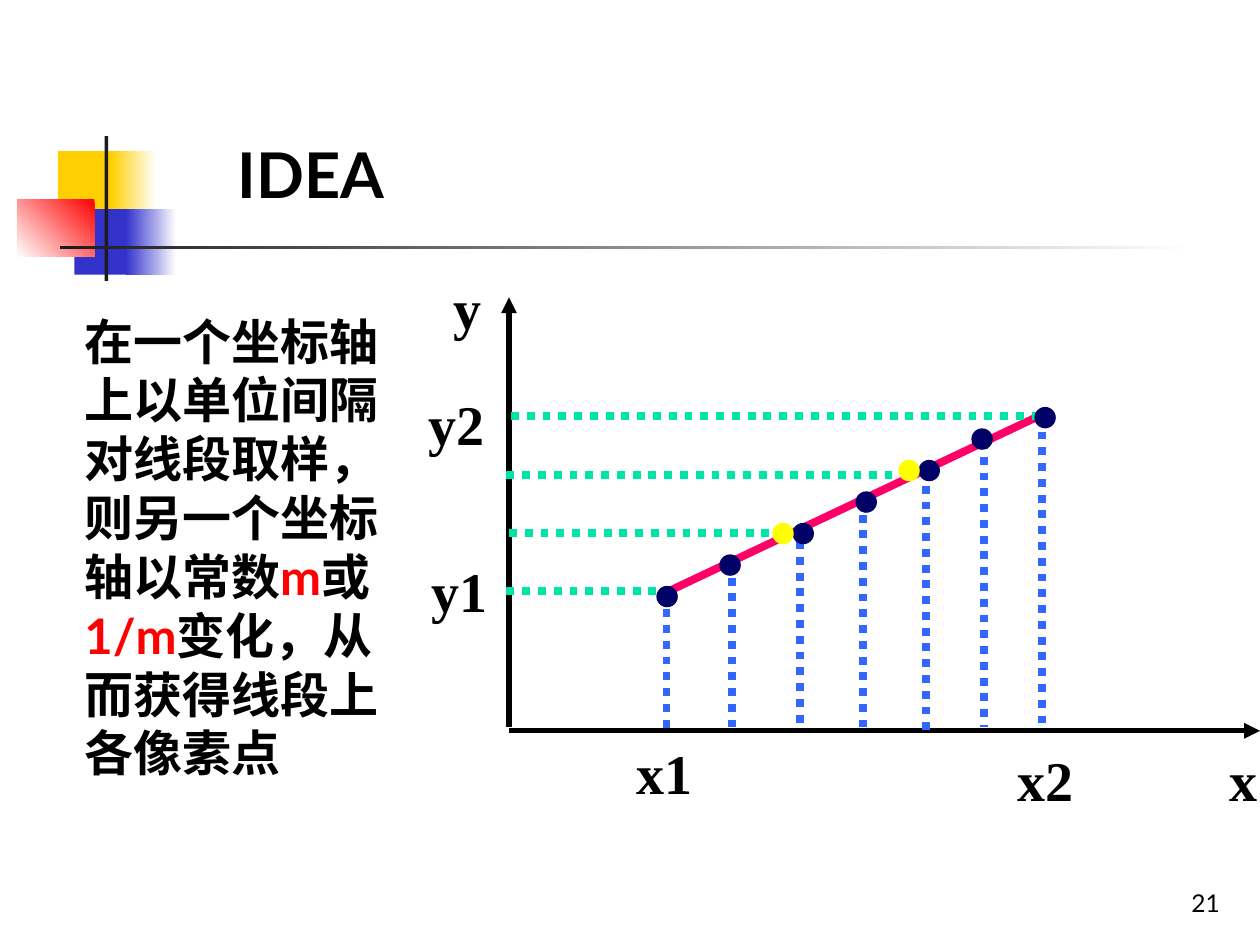
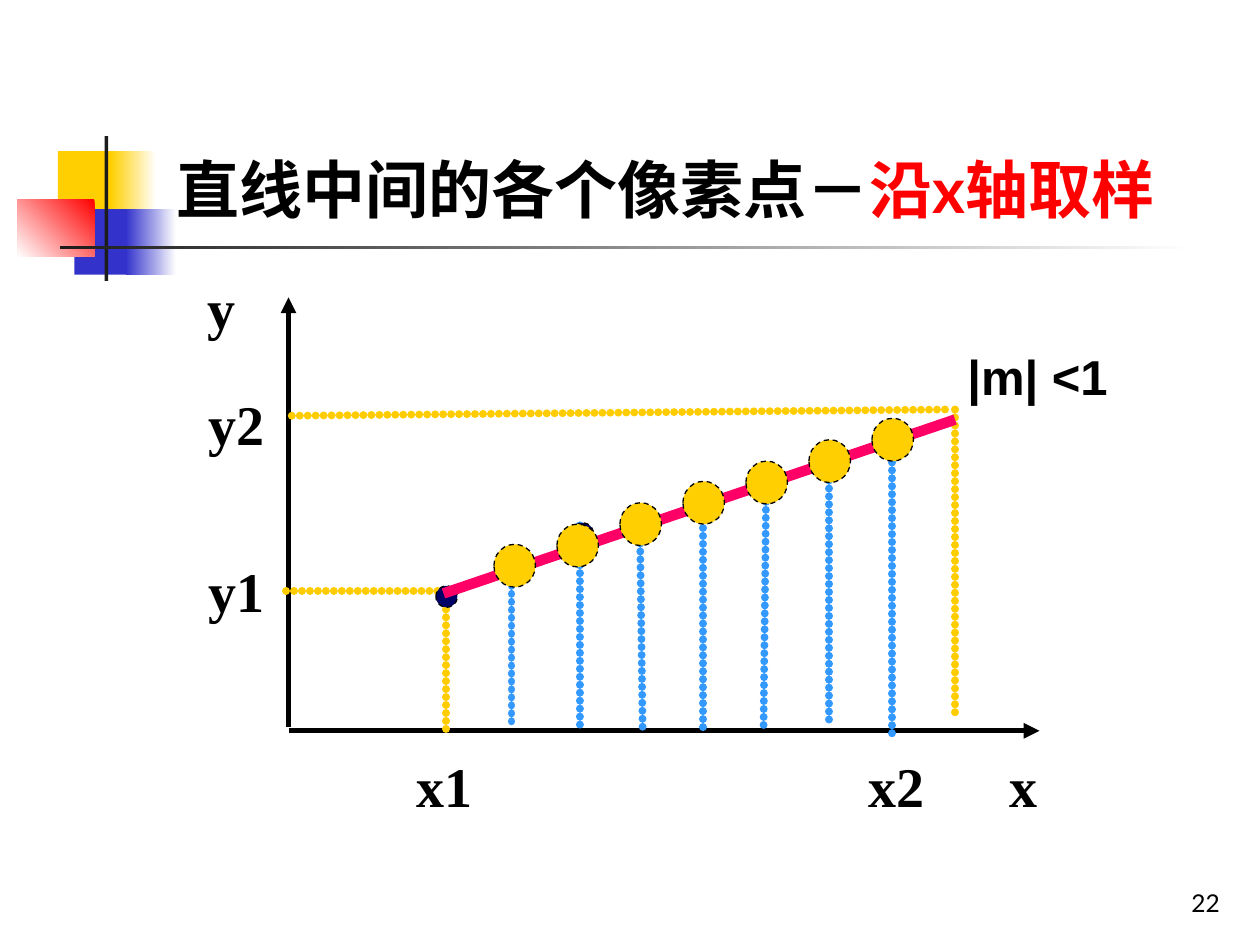
from dataclasses import dataclass

from lxml.etree import SubElement
from pptx import Presentation
from pptx.dml.color import RGBColor
from pptx.enum.dml import MSO_LINE
from pptx.enum.shapes import MSO_CONNECTOR, MSO_SHAPE
from pptx.enum.text import MSO_ANCHOR, PP_ALIGN
from pptx.oxml.ns import qn
from pptx.util import Emu, Pt

PX = 9144  # one px is a hundredth of an inch


@dataclass(frozen=True)
class Theme:
    white: str = "FFFFFF"
    black: str = "000000"
    ink: str = "1C1C1C"
    gold: str = "FFCF01"
    blue: str = "3333CC"
    red: str = "FF0000"
    pink: str = "FF0066"
    navy: str = "000066"
    lemon: str = "FFFF00"
    mint: str = "00E4A8"
    stem: str = "3366FF"
    sky: str = "3399FF"
    amber: str = "FFCC00"
    sans: str = "Lato"
    serif: str = "Times New Roman"
    plain: str = "Arial"
    title: int = 36
    label: int = 32
    body: int = 28
    foot: int = 14


T = Theme()


def rgb(tone):
    return RGBColor.from_string(tone)


class Deck:
    def __init__(self, theme):
        self.theme = theme
        self.prs = Presentation()
        self.prs.slide_width = Emu(1000 * PX)
        self.prs.slide_height = Emu(750 * PX)
        self.slide = None

    def page(self, number):
        """Start a slide with the shared corner motif and page number."""
        t = self.theme
        self.slide = self.prs.slides.add_slide(self.prs.slide_layouts[6])
        self.box(46, 120, 48, 52, t.gold)
        self.box(88, 120, 36, 52, (t.white, t.gold), 180)
        self.box(59, 166, 46, 52, t.blue)
        self.box(100, 166, 40, 52, (t.white, t.blue), 180)
        self.box(14, 158, 61, 46, (t.red, t.white), 225)
        self.box(83, 108, 3, 115, t.ink)
        self.box(48, 195, 900, 3, (t.white, t.ink), 180)
        self.text(770, 683, 208, 50, [(str(number), t.black)], t.foot,
                  bold=False, align=PP_ALIGN.RIGHT, anchor=MSO_ANCHOR.BOTTOM)

    def shape(self, kind, x, y, w, h):
        item = self.slide.shapes.add_shape(
            kind, *(Emu(n * PX) for n in (x, y, w, h)))
        item.shadow.inherit = False
        item.line.fill.background()
        return item

    def box(self, x, y, w, h, tone, angle=0):
        """A rectangle, plain or with a gradient when tone is a pair."""
        fill = self.shape(MSO_SHAPE.RECTANGLE, x, y, w, h).fill
        if isinstance(tone, str):
            fill.solid()
            fill.fore_color.rgb = rgb(tone)
            return
        fill.gradient()
        fill.gradient_angle = angle
        for stop, part, place in zip(fill.gradient_stops, tone, (0, 1)):
            stop.color.rgb = rgb(part)
            stop.position = place

    def dot(self, x, y, w, h, tone, edge=False):
        item = self.shape(MSO_SHAPE.OVAL, x, y, w, h)
        item.fill.solid()
        item.fill.fore_color.rgb = rgb(tone)
        if edge:
            item.line.color.rgb = rgb(self.theme.black)
            item.line.width = Pt(0.75)
            item.line.dash_style = MSO_LINE.DASH

    def line(self, start, end, tone, width=4.5, style=None):
        """A line; style is None, "square", "round" or "arrow"."""
        item = self.slide.shapes.add_connector(
            MSO_CONNECTOR.STRAIGHT, *(Emu(n * PX) for n in (*start, *end)))
        item.line.color.rgb = rgb(tone)
        item.line.width = Pt(width)
        ln = item.line._get_or_add_ln()
        if style == "square":
            item.line.dash_style = MSO_LINE.ROUND_DOT
        elif style == "round":
            ln.set("cap", "rnd")
            dash = SubElement(ln, qn("a:custDash"))
            SubElement(dash, qn("a:ds"), d="1000", sp="100000")
        elif style == "arrow":
            SubElement(ln, qn("a:tailEnd"), type="triangle")
        SubElement(item._element.spPr, qn("a:effectLst"))

    def text(self, x, y, w, h, runs, size, font=None, bold=True, wrap=True,
             align=PP_ALIGN.LEFT, anchor=MSO_ANCHOR.TOP, pad=(10, 5)):
        item = self.slide.shapes.add_textbox(
            *(Emu(n * PX) for n in (x, y, w, h)))
        frame = item.text_frame
        frame.word_wrap = wrap
        frame.vertical_anchor = anchor
        frame.margin_left = frame.margin_right = Emu(pad[0] * PX)
        frame.margin_top = frame.margin_bottom = Emu(pad[1] * PX)
        para = frame.paragraphs[0]
        para.alignment = align
        for words, tone in runs:
            run = para.add_run()
            run.text = words
            run.font.name = font or self.theme.sans
            run.font.size = Pt(size)
            run.font.bold = bold
            run.font.color.rgb = rgb(tone)

    def label(self, x, y, words):
        """A centred axis label, as wide as its letters."""
        t = self.theme
        self.text(x, y, 45 if len(words) > 1 else 22, 53, [(words, t.black)],
                  t.label, t.serif, wrap=False, align=PP_ALIGN.CENTER,
                  anchor=MSO_ANCHOR.MIDDLE, pad=(0, 0))

    def axes(self, x):
        t = self.theme
        self.line((x, 577), (x, 236), t.black, 3, "arrow")
        self.line((x, 580), (x + 596, 580), t.black, 3, "arrow")


def idea(deck):
    deck.page(21)
    deck.axes(404)
    deck.line((527, 471), (825, 330), T.pink)

    # Samples along x, then their levels along y
    for x, top, foot in ((529, 471, 580), (827, 330, 575), (581, 446, 577),
                         (635, 417, 577), (685, 396, 577), (735, 373, 580),
                         (781, 350, 577)):
        deck.line((x, top), (x, foot), T.stem, style="square")
    for start, end, y in ((402, 527, 469), (825, 402, 330),
                          (402, 708, 377), (404, 635, 423)):
        deck.line((start, y), (end, y), T.mint, style="square")

    for x, y, words in ((505, 586, "x1"), (807, 592, "x2"), (342, 442, "y1"),
                        (340, 309, "y2"), (976, 592, "x"), (360, 217, "y")):
        deck.label(x, y, words)

    # Points on the segment
    for i, x in enumerate((521, 571, 629, 679, 729, 771)):
        deck.dot(x, 465 - 25 * i, 17, 17, T.navy)
    deck.dot(821, 323, 17, 17, T.navy)
    for x, y in ((613, 415), (713, 365)):
        deck.dot(x, y, 17, 17, T.lemon)

    # Title and explanation
    deck.text(179, 103, 139, 70, [("IDEA", T.black)], T.title, wrap=False)
    deck.text(67, 242, 258, 417, [
        ("在一个坐标轴上以单位间隔对线段取样，则另一个坐标轴以常数", T.black),
        ("m", T.red), ("或", T.black), ("1/m", T.red),
        ("变化，从而获得线段上各像素点", T.black)], T.body, pad=(0, 5))


def sample(deck):
    deck.page(22)
    deck.text(130, 107, 936, 77, [("直线中间的各个像素点－", T.black),
                                  ("沿x轴取样", T.red)],
              T.title, anchor=MSO_ANCHOR.BOTTOM)
    deck.axes(229)

    # Guides of the two end points
    for start, end in (((354, 471), (354, 580)), ((758, 325), (758, 571)),
                       ((227, 469), (352, 469)), ((750, 325), (227, 330))):
        deck.line(start, end, T.amber, style="round")

    # Sample stems
    for x, top, base, foot in ((406, 446, 406, 577), (460, 417, 460, 577),
                               (508, 425, 510, 577), (558, 400, 558, 580),
                               (608, 392, 606, 577), (658, 375, 658, 575),
                               (708, 348, 708, 583)):
        deck.line((x, top), (base, foot), T.sky, style="round")

    for x, y, words in ((330, 597, "x1"), (689, 597, "x2"), (165, 442, "y1"),
                        (165, 309, "y2"), (801, 597, "x"), (165, 217, "y")):
        deck.label(x, y, words)

    # Segment and the pixels on it
    for i, x in enumerate((346, 396, 454)):
        deck.dot(x, 465 - 25 * i, 17, 17, T.navy, edge=True)
    deck.line((352, 471), (758, 333), T.pink, 6)
    for i in range(7):
        deck.dot(392 + 50 * i, 432 - 100 * i // 6, 33, 34, T.gold, edge=True)

    deck.text(758, 270, 135, 57, [("|m| <1", T.black)], T.body, T.plain)


def main():
    deck = Deck(T)
    idea(deck)
    sample(deck)
    deck.prs.save("out.pptx")


if __name__ == "__main__":
    main()
